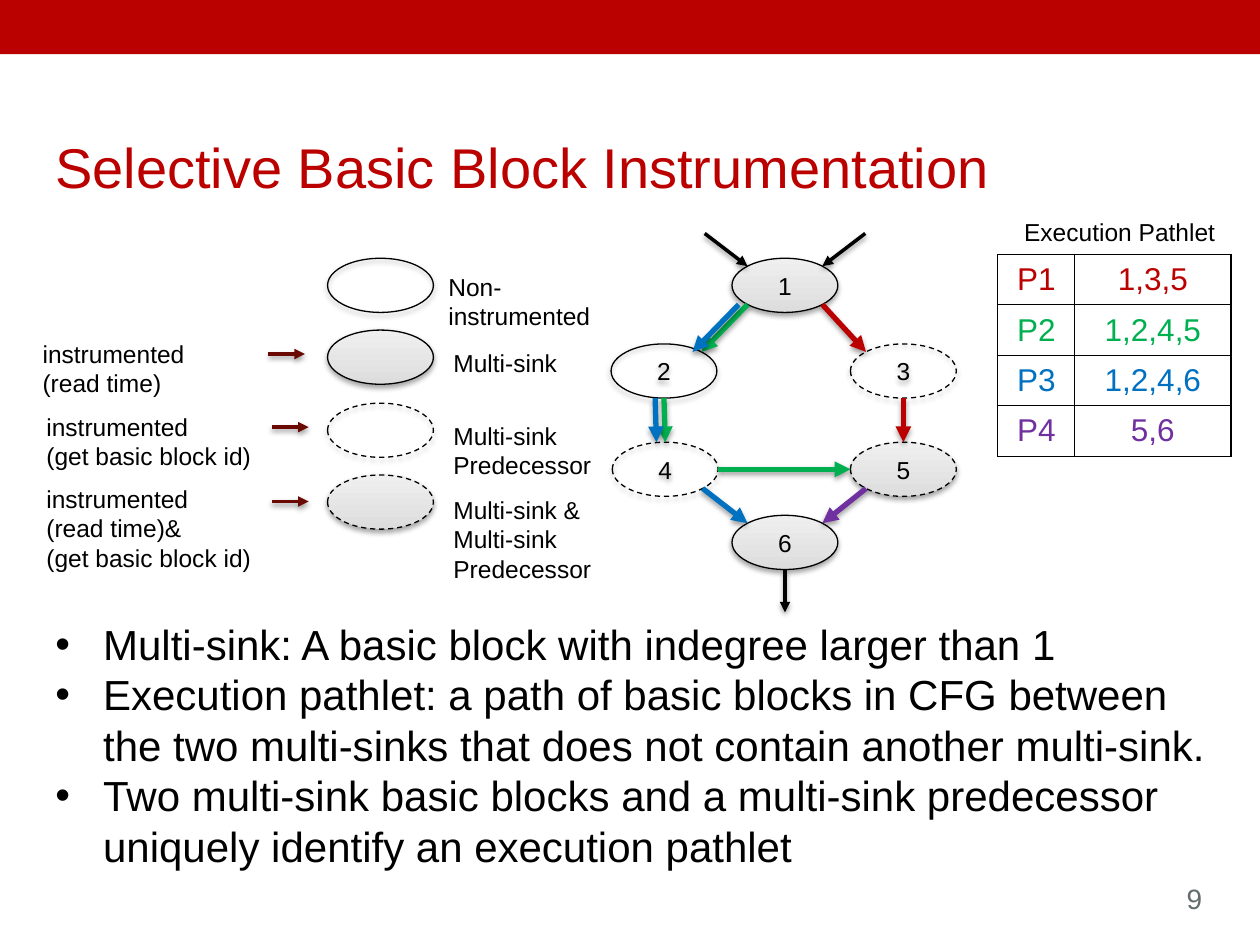
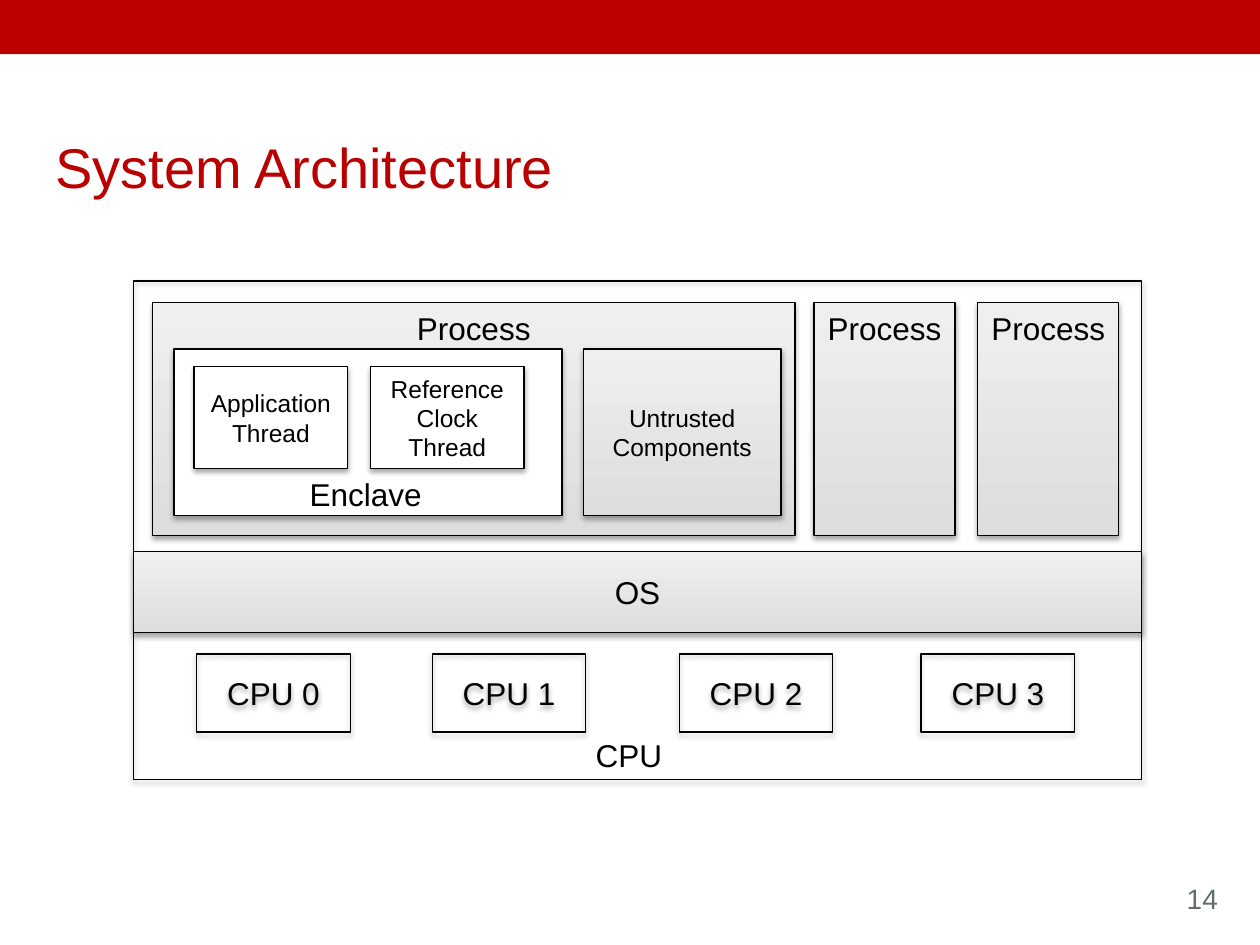
from math import cos, radians, sin

from lxml.etree import SubElement
from pptx import Presentation
from pptx.dml.color import RGBColor
from pptx.enum.dml import MSO_LINE
from pptx.enum.shapes import MSO_CONNECTOR, MSO_SHAPE
from pptx.enum.text import MSO_ANCHOR, PP_ALIGN
from pptx.oxml.ns import qn
from pptx.util import Inches, Pt

FONT = "Arial"
COLORS = {
    "red": "BB0000",
    "green": "00B050",
    "blue": "0070C0",
    "purple": "7030A0",
    "maroon": "6A0902",
    "black": "000000",
    "white": "FFFFFF",
    "gray": "636D6E",
    "shade_dark": "DDDDDD",
    "shade_light": "EFEFEF",
}
NODE_WIDTH, NODE_HEIGHT = 0.84, 0.43
PORT_ANGLES = {"e": 0, "se": 45, "s": 90, "sw": 135, "w": 180, "nw": 225, "n": 270, "ne": 315}


def color(name):
    """Return the named palette colour."""
    return RGBColor.from_string(COLORS[name])


def write(frame, lines, size, ink="black", align=PP_ALIGN.LEFT, bullet=False):
    """Fill a text frame with one paragraph per line."""
    for index, line in enumerate(lines):
        para = frame.paragraphs[0] if index == 0 else frame.add_paragraph()
        para.alignment = align
        if bullet:
            properties = para._p.get_or_add_pPr()
            properties.set("marL", str(Inches(0.38)))
            properties.set("indent", str(-Inches(0.38)))
            SubElement(properties, qn("a:buFont"), typeface=FONT)
            SubElement(properties, qn("a:buChar"), char="•")
        span = para.add_run()
        span.text = line
        span.font.name = FONT
        span.font.size = Pt(size)
        span.font.color.rgb = color(ink)


def add_text(page, left, top, width, height, lines, size, wrap=True, **style):
    """Add a text box."""
    box = page.shapes.add_textbox(Inches(left), Inches(top), Inches(width), Inches(height))
    box.text_frame.word_wrap = wrap
    write(box.text_frame, lines, size, **style)


def add_shadow(item, alpha):
    """Give a shape or connector a soft downward shadow."""
    effects = SubElement(item._element.spPr, qn("a:effectLst"))
    shadow = SubElement(effects, qn("a:outerShdw"), blurRad=str(Pt(3.1)), dist=str(Pt(1.7)),
                        dir="5400000", rotWithShape="0")
    tone = SubElement(shadow, qn("a:srgbClr"), val=COLORS["black"])
    SubElement(tone, qn("a:alpha"), val=str(alpha * 1000))


def add_block(page, left, top, width, height, lines=(), size=18, fill=None,
              kind=MSO_SHAPE.RECTANGLE, dashed=False, anchor=MSO_ANCHOR.MIDDLE):
    """Add an outlined shape that is hollow, solid or shaded, with centred text."""
    block = page.shapes.add_shape(kind, Inches(left), Inches(top), Inches(width), Inches(height))
    if fill is None:
        block.fill.background()
    elif fill == "shaded":
        block.fill.gradient()
        block.fill.gradient_angle = 90
        for stop, tone in zip(block.fill.gradient_stops, ("shade_dark", "shade_light")):
            stop.color.rgb = color(tone)
    else:
        block.fill.solid()
        block.fill.fore_color.rgb = color(fill)
    block.line.color.rgb = color("black")
    block.line.width = Pt(0.75)
    if dashed:
        block.line.dash_style = MSO_LINE.DASH
    add_shadow(block, 35)
    block.text_frame.word_wrap = True
    block.text_frame.vertical_anchor = anchor
    write(block.text_frame, lines, size, align=PP_ALIGN.CENTER)


def add_node(page, left, top, lines=(), fill=None, dashed=False):
    """Add a basic block ellipse."""
    add_block(page, left, top, NODE_WIDTH, NODE_HEIGHT, lines, 14, fill, MSO_SHAPE.OVAL, dashed)


def add_arrow(page, start, end, ink, width=2):
    """Add a straight arrow between two points."""
    arrow = page.shapes.add_connector(MSO_CONNECTOR.STRAIGHT, *map(Inches, (*start, *end)))
    arrow.line.color.rgb = color(ink)
    arrow.line.width = Pt(width)
    SubElement(arrow.line._get_or_add_ln(), qn("a:tailEnd"), type="triangle")
    add_shadow(arrow, 38)


def add_page(deck, title, number):
    """Add a page with the top band, title and page number."""
    page = deck.slides.add_slide(deck.slide_layouts[6])
    band = page.shapes.add_shape(MSO_SHAPE.RECTANGLE, 0, 0, deck.slide_width, Inches(0.43))
    band.shadow.inherit = False
    band.fill.solid()
    band.fill.fore_color.rgb = color("red")
    band.line.fill.background()
    add_text(page, 0.34, 1, 9, 0.54, [title], 32, ink="red")
    add_text(page, 9.32, 6.95, 0.48, 0.37, [str(number)], 16, wrap=False, ink="gray")
    return page


def add_legend(page, left, top):
    """Explain the four block styles and what is instrumented in each."""
    rows = [
        (0, 0, None, False, "Non-instrumented", 3.22, 0.06, ()),
        (0.57, 0, "shaded", False, "Multi-sink", 3.26, 0.09, ("instrumented", "(read time)")),
        (1.15, 0.03, None, True, "Multi-sink Predecessor", 3.26, 0.09,
         ("instrumented", "(get basic block id)")),
        (1.72, 0.03, "shaded", True, "Multi-sink & Multi-sink Predecessor", 3.26, 0.11,
         ("instrumented", "(read time)&", "(get basic block id)")),
    ]
    for offset, shift, fill, dashed, meaning, meaning_left, drop, notes in rows:
        row_top = top + offset
        add_node(page, left + 2.36, row_top, fill=fill, dashed=dashed)
        add_text(page, left + meaning_left, row_top + drop, 1.35, 0.26, [meaning], 14)
        if notes:
            arrow_top = row_top + drop + 0.1
            add_arrow(page, (left + 1.89 + shift, arrow_top),
                      (left + 2.18 + shift, arrow_top), "maroon")
            add_text(page, left + shift, row_top + 0.02, 1.93, 0.57, notes, 14)


def add_flow_graph(page, left, top):
    """Draw the control flow graph with its pathlets coloured."""
    nodes = {
        "1": (0.96, 0.2, "shaded", False),
        "2": (0, 0.88, None, False),
        "3": (1.9, 0.88, None, True),
        "4": (0.01, 1.66, None, True),
        "5": (1.9, 1.66, "shaded", True),
        "6": (0.96, 2.24, "shaded", False),
    }
    for name, (across, down, fill, dashed) in nodes.items():
        add_node(page, left + across, top + down, [name], fill, dashed)

    def port(name, side, shift=0.0):
        """Return the point on a node's outline at a compass side."""
        across, down = nodes[name][:2]
        angle = radians(PORT_ANGLES[side])
        return (left + across + NODE_WIDTH / 2 * (1 + cos(angle)) + shift,
                top + down + NODE_HEIGHT / 2 * (1 + sin(angle)))

    for side, reach in (("nw", -0.34), ("ne", 0.34)):
        x, y = port("1", side)
        add_arrow(page, (x + reach, y - 0.26), (x, y), "black")
    x, y = port("6", "s")
    add_arrow(page, (x, y), (x, y + 0.34), "black")

    edges = [
        ("1", "se", "3", "nw", "red", 0),
        ("3", "s", "5", "n", "red", 0),
        ("1", "sw", "2", "ne", "green", 0),
        ("2", "s", "4", "n", "green", 0),
        ("4", "e", "5", "w", "green", 0),
        ("1", "sw", "2", "ne", "blue", -0.07),
        ("2", "s", "4", "n", "blue", -0.07),
        ("4", "se", "6", "nw", "blue", 0),
        ("5", "sw", "6", "ne", "purple", 0),
    ]
    for source, exit_side, target, entry_side, ink, shift in edges:
        add_arrow(page, port(source, exit_side, shift), port(target, entry_side, shift), ink, 3)


def style_cell(cell, text, ink):
    """Give a table cell a white fill, black borders and centred text."""
    cell.fill.solid()
    cell.fill.fore_color.rgb = color("white")
    cell.vertical_anchor = MSO_ANCHOR.MIDDLE
    cell.margin_top = cell.margin_bottom = 0
    write(cell.text_frame, [text], 18, ink, PP_ALIGN.CENTER)
    properties = cell._tc.get_or_add_tcPr()
    for index, edge in enumerate(("lnL", "lnR", "lnT", "lnB")):
        border = properties.makeelement(qn(f"a:{edge}"), {"w": str(Pt(0.75))})
        fill = SubElement(border, qn("a:solidFill"))
        SubElement(fill, qn("a:srgbClr"), val=COLORS["black"])
        properties.insert(index, border)


def add_pathlet_table(page, left, top):
    """List the execution pathlets under their heading."""
    add_text(page, left + 0.11, top, 1.97, 0.34, ["Execution Pathlet"], 14)
    pathlets = [("P1", "1,3,5", "red"), ("P2", "1,2,4,5", "green"),
                ("P3", "1,2,4,6", "blue"), ("P4", "5,6", "purple")]
    table = page.shapes.add_table(len(pathlets), 2, Inches(left), Inches(top + 0.35),
                                  Inches(1.85), Inches(1.6)).table
    table.first_row = table.horz_banding = False
    table.columns[0].width = Inches(0.61)
    table.columns[1].width = Inches(1.24)
    for row, (name, blocks, ink) in enumerate(pathlets):
        style_cell(table.cell(row, 0), name, ink)
        style_cell(table.cell(row, 1), blocks, ink)


def build_instrumentation(deck):
    """Build the selective instrumentation page."""
    page = add_page(deck, "Selective Basic Block Instrumentation", 9)
    add_text(page, 0.34, 4.86, 9.45, 2.12, [
        "Multi-sink: A basic block with indegree larger than 1",
        "Execution pathlet: a path of basic blocks in CFG between the two multi-sinks "
        "that does not contain another multi-sink.",
        "Two multi-sink basic blocks and a multi-sink predecessor uniquely identify "
        "an execution pathlet",
    ], 24, bullet=True)
    add_flow_graph(page, 4.85, 1.85)
    add_pathlet_table(page, 7.92, 1.67)
    add_legend(page, 0.24, 2.05)


def add_hardware(page, left, top):
    """Draw the OS layer and the processors below it."""
    add_block(page, left, top, 8, 0.64, ["OS"], fill="shaded")
    for index, across in enumerate((0.5, 2.37, 4.33, 6.25)):
        add_block(page, left + across, top + 0.81, 1.22, 0.62, [f"CPU {index}"])
    add_text(page, left + 3.57, top + 1.41, 0.73, 0.4, ["CPU"], 18, wrap=False)


def add_processes(page, left, top):
    """Draw the processes, the first one holding the enclave."""
    for across, width in ((0, 5.1), (5.25, 1.12), (6.55, 1.12)):
        add_block(page, left + across, top, width, 1.85, ["Process"], fill="shaded",
                  anchor=MSO_ANCHOR.TOP)
    add_block(page, left + 0.17, top + 0.37, 3.08, 1.32, fill="white")
    add_text(page, left + 1.15, top + 1.32, 1.1, 0.4, ["Enclave"], 18, wrap=False)
    threads = (["Application", "Thread"], ["Reference Clock Thread"])
    for index, lines in enumerate(threads):
        add_block(page, left + 0.33 + 1.4 * index, top + 0.51, 1.22, 0.81, lines, 14, "white")
    add_block(page, left + 3.42, top + 0.37, 1.57, 1.32, ["Untrusted Components"], 14, "shaded")


def build_architecture(deck):
    """Build the system architecture page."""
    page = add_page(deck, "System Architecture", 14)
    left, top = 1.06, 2.23
    add_block(page, left, top, 8, 3.96)
    add_hardware(page, left, top + 2.15)
    add_processes(page, left + 0.15, top + 0.17)


def main():
    """Build and save the deck."""
    deck = Presentation()
    deck.slide_width, deck.slide_height = Inches(10), Inches(7.5)
    build_instrumentation(deck)
    build_architecture(deck)
    deck.save("out.pptx")


if __name__ == "__main__":
    main()
